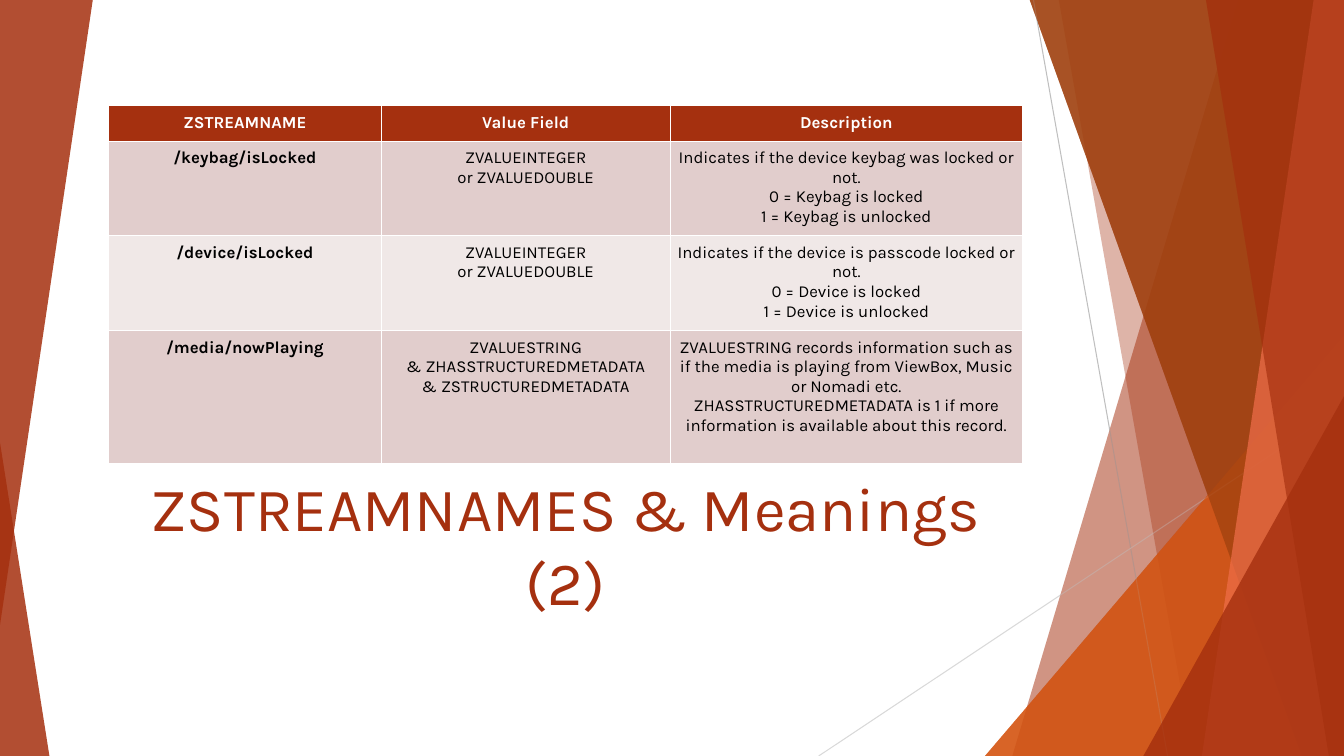
"""Build the ZSTREAMNAMES & Meanings (2) slide."""
from lxml import etree
from pptx import Presentation
from pptx.dml.color import RGBColor
from pptx.enum.shapes import MSO_CONNECTOR, MSO_SHAPE
from pptx.enum.text import MSO_ANCHOR, MSO_AUTO_SIZE, PP_ALIGN
from pptx.oxml.ns import qn
from pptx.util import Inches, Pt

FONT = "Karla"
RUST, BROWN, ORANGE, CORAL = "A5300F", "A04210", "D55816", "EE6E4A"
WHITE, BLACK = "FFFFFF", "000000"
BANDS = ["E1CDCC", "F0E8E7"]
WIDTH, HEIGHT, TOP = 13.33, 7.5, -0.01

TITLE = "ZSTREAMNAMES & Meanings (2)"
ROWS = [
    ("ZSTREAMNAME", "Value Field", "Description"),
    ("/keybag/isLocked", "ZVALUEINTEGER\nor ZVALUEDOUBLE",
     "Indicates if the device keybag was locked or not.\n"
     "0 = Keybag is locked\n1 = Keybag is unlocked"),
    ("/device/isLocked", "ZVALUEINTEGER\nor ZVALUEDOUBLE",
     "Indicates if the device is passcode locked or not.\n"
     "0 = Device is locked\n1 = Device is unlocked"),
    ("/media/nowPlaying",
     "ZVALUESTRING\n& ZHASSTRUCTUREDMETADATA\n& ZSTRUCTUREDMETADATA",
     "ZVALUESTRING records information such as if the media is playing from "
     "ViewBox, Music or Nomadi etc.\nZHASSTRUCTUREDMETADATA is 1 if more "
     "information is available about this record."),
]
TABLE_BOX = (1.08, 1.05, 9.06, 3.56)
COLUMN_WIDTHS = [2.7, 2.87, 3.49]
ROW_HEIGHTS = [0.35, 0.94, 0.94, 1.32]
TITLE_BOX = (1.08, 4.98, 9.06, 1.2)

# Bands: colour, opacity, (left edge at the top, left edge at the bottom).
# Triangles: colour, opacity, box, apex, rotation.
RIGHT_FACETS = [
    ("band", RUST, 30, (12.28, 10.04)),
    ("band", RUST, 20, (10.5, 11.83)),
    ("triangle", ORANGE, 72, (9.77, 3.33, 3.56, 4.17), 1, 0),
    ("band", BROWN, 70, (10.21, 12.91)),
    ("band", CORAL, 70, (13.03, 11.92)),
    ("band", RUST, 65, (11.96, 13.18)),
    ("triangle", RUST, 80, (11.34, 3.93, 1.99, 3.57), 1, 0),
]
LOWER_LEFT = ("triangle", RUST, 85, (0, 4.39, 0.49, 3.11), 0, 0)
UPPER_LEFT = ("triangle", RUST, 85, (0, 0, 0.92, 6.2), 1, 180)
LINES = [("BFBFBF", (10.25, 0, 11.58, 7.5)), ("D9D9D9", (13.33, 4.03, 8.12, 7.5))]


def color(value):
    return RGBColor.from_string(value)


def inches(values):
    return [Inches(value) for value in values]


def paint(shape, fill, opacity):
    shape.shadow.inherit = False
    shape.line.fill.background()
    shape.fill.solid()
    shape.fill.fore_color.rgb = color(fill)
    tint = shape.fill._xPr.find(qn("a:solidFill"))[0]
    etree.SubElement(tint, qn("a:alpha")).set("val", str(opacity * 1000))


def add_band(shapes, fill, opacity, edge):
    top_left, bottom_left = edge
    builder = shapes.build_freeform(Inches(top_left), Inches(TOP), scale=1.0)
    corners = [(WIDTH, TOP), (WIDTH, HEIGHT), (bottom_left, HEIGHT)]
    builder.add_line_segments([inches(corner) for corner in corners], close=True)
    paint(builder.convert_to_shape(), fill, opacity)


def add_triangle(shapes, fill, opacity, box, apex, rotation):
    triangle = shapes.add_shape(MSO_SHAPE.ISOSCELES_TRIANGLE, *inches(box))
    triangle.adjustments[0] = apex
    triangle.rotation = rotation
    paint(triangle, fill, opacity)


def add_facets(shapes, facets):
    makers = {"band": add_band, "triangle": add_triangle}
    for kind, *details in facets:
        makers[kind](shapes, *details)


def add_line(shapes, stroke, ends):
    line = shapes.add_connector(MSO_CONNECTOR.STRAIGHT, *inches(ends))
    line.line.color.rgb = color(stroke)
    line.line.width = Pt(0.75)
    etree.SubElement(line._element.spPr, qn("a:effectLst"))


def style(para, size, ink, bold=False):
    para.alignment = PP_ALIGN.CENTER
    para.font.name = FONT
    para.font.size = Pt(size)
    para.font.bold = bold
    para.font.color.rgb = color(ink)


def add_title(page):
    title = page.shapes.title
    title.left, title.top, title.width, title.height = inches(TITLE_BOX)
    frame = title.text_frame
    frame.text = TITLE
    frame.word_wrap = True
    frame.auto_size = MSO_AUTO_SIZE.NONE
    frame.vertical_anchor = MSO_ANCHOR.BOTTOM
    style(frame.paragraphs[0], 44, RUST)


def add_stream_table(shapes):
    table = shapes.add_table(len(ROWS), len(COLUMN_WIDTHS), *inches(TABLE_BOX)).table
    for column, width in zip(table.columns, COLUMN_WIDTHS):
        column.width = Inches(width)
    for row, height in zip(table.rows, ROW_HEIGHTS):
        row.height = Inches(height)
    for r, texts in enumerate(ROWS):
        header = r == 0
        for c, text in enumerate(texts):
            cell = table.cell(r, c)
            cell.margin_left = cell.margin_right = Inches(0.07)
            cell.margin_top = cell.margin_bottom = Inches(0.07)
            cell.fill.solid()
            cell.fill.fore_color.rgb = color(RUST if header else BANDS[(r - 1) % 2])
            para = cell.text_frame.paragraphs[0]
            para.text = text.replace("\n", "\v")
            style(para, 12, WHITE if header else BLACK, header or c == 0)


def main():
    deck = Presentation()
    deck.slide_width, deck.slide_height = Inches(WIDTH), Inches(HEIGHT)
    page = deck.slides.add_slide(deck.slide_layouts[5])
    add_facets(page.shapes, RIGHT_FACETS + [LOWER_LEFT])
    for stroke, ends in LINES:
        add_line(page.shapes, stroke, ends)
    add_facets(page.shapes, RIGHT_FACETS + [UPPER_LEFT])
    add_title(page)
    add_stream_table(page.shapes)
    deck.save("out.pptx")


if __name__ == "__main__":
    main()
